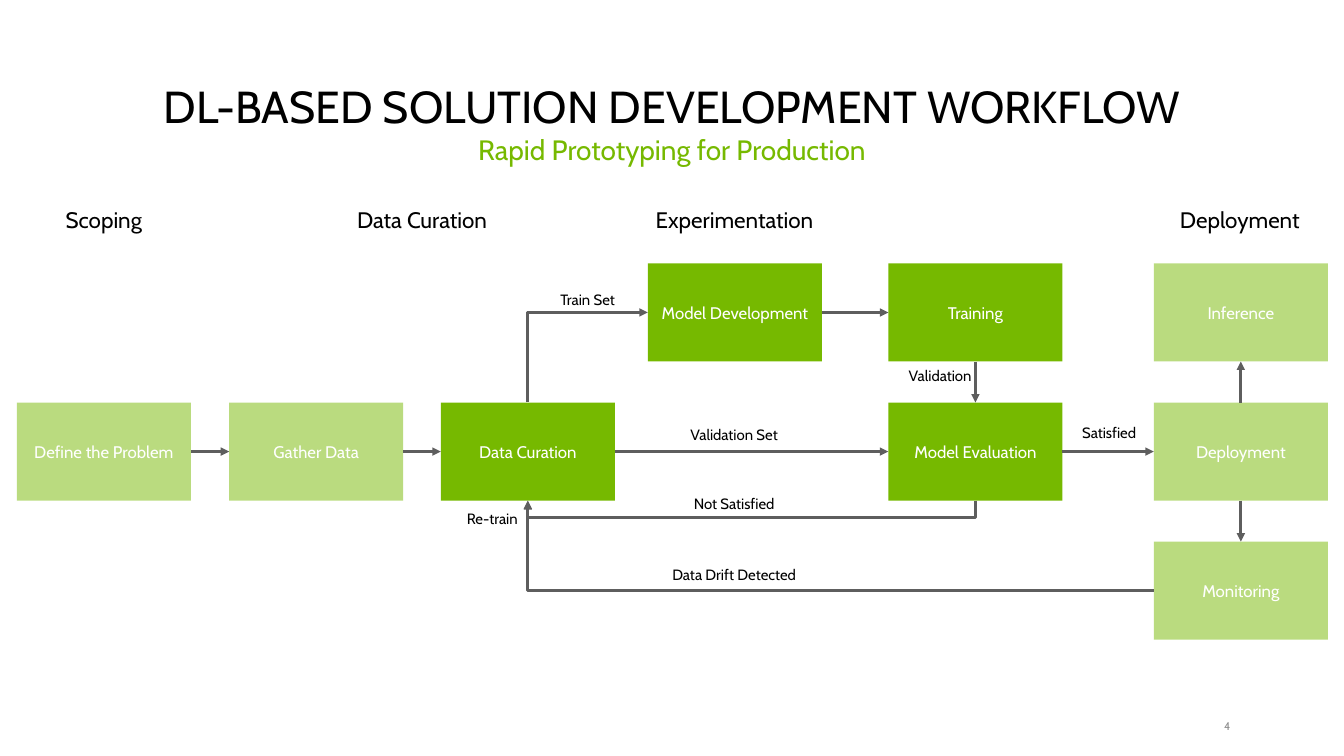
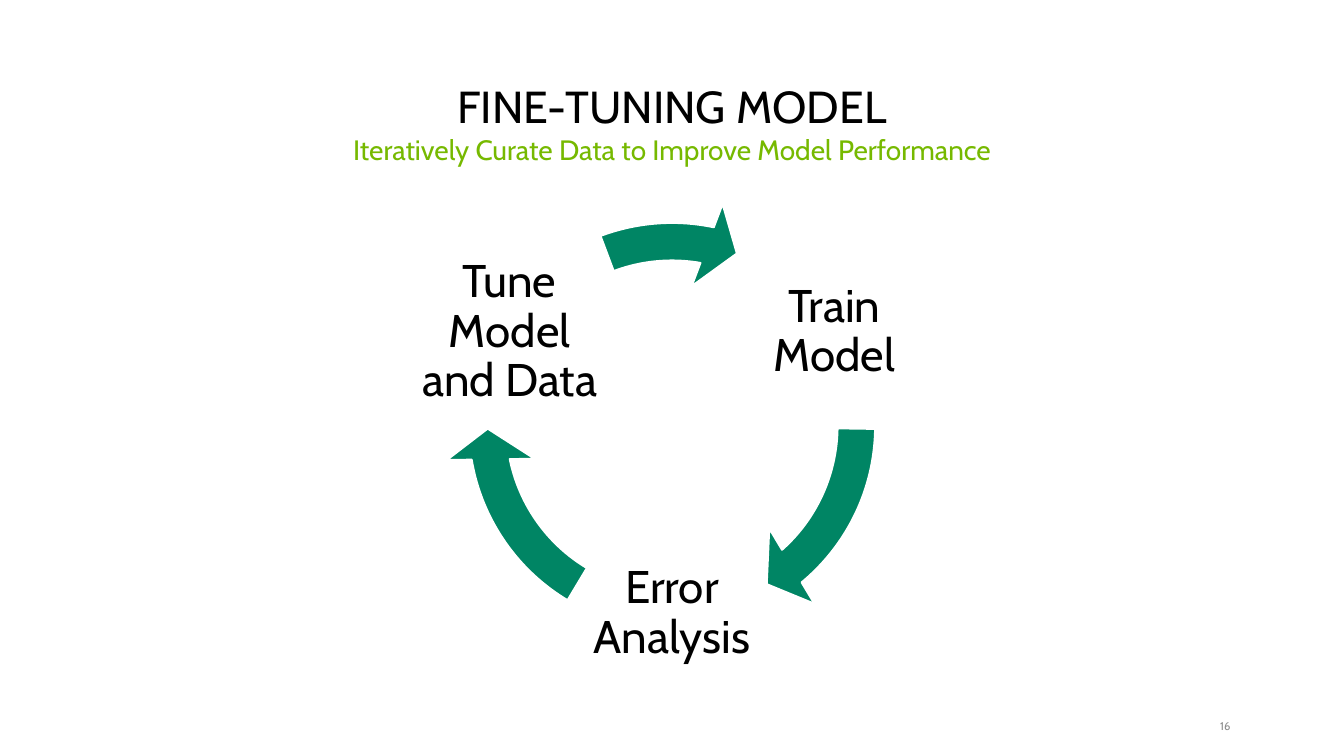
from math import cos, radians, sin

from lxml.etree import SubElement
from pptx import Presentation
from pptx.dml.color import RGBColor
from pptx.enum.shapes import MSO_CONNECTOR, MSO_SHAPE
from pptx.enum.text import MSO_ANCHOR, MSO_AUTO_SIZE, PP_ALIGN
from pptx.oxml.ns import qn
from pptx.util import Inches, Pt

COLORS = {
    "text": "000000",
    "white": "FFFFFF",
    "green": "76B900",
    "teal": "008564",
    "line": "5E5E5E",
    "number": "8C8C8C",
}
FONT = "Cabin"

WORKFLOW_TITLE = ("DL-BASED SOLUTION DEVELOPMENT WORKFLOW", "Rapid Prototyping for Production", "4")
CYCLE_TITLE = ("FINE-TUNING MODEL", "Iteratively Curate Data to Improve Model Performance", "16")

# Workflow grid: left edges of the columns, top edges of the rows
COLUMNS = [0.25, 3.41, 6.56, 9.64, 13.22, 17.17]
ROWS = [3.92 + 2.07 * row for row in range(3)]
NODE_WIDTH, NODE_HEIGHT = 2.59, 1.46

# name: (text, column, row, highlighted)
NODES = {
    "define": ("Define the Problem", 0, 1, False),
    "gather": ("Gather Data", 1, 1, False),
    "curate": ("Data Curation", 2, 1, True),
    "develop": ("Model Development", 3, 0, True),
    "train": ("Training", 4, 0, True),
    "evaluate": ("Model Evaluation", 4, 1, True),
    "infer": ("Inference", 5, 0, False),
    "deploy": ("Deployment", 5, 1, False),
    "monitor": ("Monitoring", 5, 2, False),
}
STRAIGHT_ARROWS = [
    ("define", "right", "gather", "left"),
    ("gather", "right", "curate", "left"),
    ("curate", "right", "evaluate", "left"),
    ("develop", "right", "train", "left"),
    ("train", "bottom", "evaluate", "top"),
    ("evaluate", "right", "deploy", "left"),
    ("deploy", "top", "infer", "bottom"),
    ("deploy", "bottom", "monitor", "top"),
]
# (text, left, width)
STAGES = [
    ("Scoping", 0.11, 2.87),
    ("Data Curation", 4.71, 3.14),
    ("Experimentation", 9.36, 3.14),
    ("Deployment", 16.95, 3),
]
# (text, left, top, width)
ARROW_LABELS = [
    ("Train Set", 6.79, 4.31, 3.91),
    ("Validation", 12.42, 5.44, 3.14),
    ("Validation Set", 8.97, 6.31, 3.91),
    ("Satisfied", 14.55, 6.29, 3.91),
    ("Not Satisfied", 8.97, 7.34, 3.91),
    ("Re-train", 5.37, 7.57, 3.91),
    ("Data Drift Detected", 8.97, 8.39, 3.91),
]

# (text, angle of the text, start and end angle of the arrow that follows)
CYCLE_STEPS = [
    ("Train Model", -30, 0.82, 49.46),
    ("Error Analysis", 90, 120.96, 169.59),
    ("Tune Model and Data", 210, 249.41, 281),
]
CYCLE_CENTER = (10, 6.34)
CYCLE_RADIUS, STEP_SIZE, RING_SIZE = 2.79, 2.87, 6.79


def color(name):
    return RGBColor.from_string(COLORS[name])


def write(shape, text, size, ink="text", align=PP_ALIGN.CENTER, anchor=MSO_ANCHOR.MIDDLE,
          spacing=0.9, inset=None):
    frame = shape.text_frame
    settings = {"word_wrap": True, "auto_size": MSO_AUTO_SIZE.NONE, "vertical_anchor": anchor}
    if inset is not None:
        for side in ("left", "right", "top", "bottom"):
            settings[f"margin_{side}"] = Inches(inset)
    for name, value in settings.items():
        setattr(frame, name, value)
    para = frame.paragraphs[0]
    para.alignment, para.line_spacing = align, spacing
    span = para.add_run()
    span.text = text
    for name, value in {"name": FONT, "size": Pt(size), "bold": False}.items():
        setattr(span.font, name, value)
    span.font.color.rgb = color(ink)


def add_text(page, box, text, size, **formats):
    write(page.shapes.add_textbox(*map(Inches, box)), text, size, **formats)


def add_filled_shape(page, kind, box, fill):
    shape = page.shapes.add_shape(kind, *map(Inches, box))
    shape.shadow.inherit = False
    shape.fill.solid()
    shape.fill.fore_color.rgb = color(fill)
    return shape


def add_page(deck, title, subtitle, number):
    page = deck.slides.add_slide(deck.slide_layouts[5])
    heading = page.shapes.title
    box = {"left": 0.91, "top": 0.95, "width": 18.18, "height": 1.08}
    for name, value in box.items():
        setattr(heading, name, Inches(value))
    write(heading, title, 48, anchor=MSO_ANCHOR.BOTTOM)
    add_text(page, (0.91, 1.98, 18.18, 0.96), subtitle, 30, ink="green", anchor=MSO_ANCHOR.TOP)
    add_text(page, (17.77, 10.71, 0.54, 0.2), number, 12, ink="number",
             align=PP_ALIGN.RIGHT, spacing=1, inset=0)
    return page


def add_node(page, text, column, row, highlighted):
    box = (COLUMNS[column], ROWS[row], NODE_WIDTH, NODE_HEIGHT)
    node = add_filled_shape(page, MSO_SHAPE.RECTANGLE, box, "green")
    node.line.fill.background()
    if not highlighted:
        shade = node._element.spPr.find(qn("a:solidFill"))[0]
        SubElement(shade, qn("a:alpha")).set("val", "50000")
    write(node, text, 18, ink="white", spacing=1)


def side_point(name, side):
    """Middle of one side of a node."""
    _, column, row, _ = NODES[name]
    across, down = {"left": (0, 0.5), "right": (1, 0.5), "top": (0.5, 0), "bottom": (0.5, 1)}[side]
    return COLUMNS[column] + across * NODE_WIDTH, ROWS[row] + down * NODE_HEIGHT


def add_arrow(page, start, end, kind=MSO_CONNECTOR.STRAIGHT):
    arrow = page.shapes.add_connector(kind, *map(Inches, (*start, *end)))
    arrow.line.color.rgb = color("line")
    arrow.line.width = Pt(3)
    properties = arrow._element.spPr
    SubElement(properties.find(qn("a:ln")), qn("a:tailEnd")).set("type", "triangle")
    SubElement(properties, qn("a:effectLst"))
    return arrow


def add_elbow(page, start, end, vertical_first=False, bend=None):
    """One corner, or two when bend gives the turn as a multiple of the run."""
    if vertical_first:
        middle_x, middle_y = (start[0] + end[0]) / 2, (start[1] + end[1]) / 2
        half_x, half_y = (end[0] - start[0]) / 2, (end[1] - start[1]) / 2
        start = (middle_x - half_y, middle_y + half_x)
        end = (middle_x + half_y, middle_y - half_x)
    arrow = add_arrow(page, start, end, MSO_CONNECTOR.ELBOW)
    properties = arrow._element.spPr
    if vertical_first:
        properties.find(qn("a:xfrm")).set("rot", str(90 * 60000))
    geometry = properties.find(qn("a:prstGeom"))
    if bend is None:
        geometry.set("prst", "bentConnector2")
    else:
        guide = SubElement(geometry.find(qn("a:avLst")), qn("a:gd"))
        guide.set("name", "adj1")
        guide.set("fmla", f"val {bend * 100000}")


def build_workflow(deck):
    page = add_page(deck, *WORKFLOW_TITLE)
    for node in NODES.values():
        add_node(page, *node)
    for origin, origin_side, target, target_side in STRAIGHT_ARROWS:
        add_arrow(page, side_point(origin, origin_side), side_point(target, target_side))

    curate_bottom = side_point("curate", "bottom")
    add_elbow(page, side_point("curate", "top"), side_point("develop", "left"), vertical_first=True)
    add_elbow(page, side_point("monitor", "left"), curate_bottom)
    add_elbow(page, side_point("evaluate", "bottom"), (curate_bottom[0], curate_bottom[1] + 0.01),
              vertical_first=True, bend=25)

    for text, left, width in STAGES:
        add_text(page, (left, 3.06, width, 0.46), text, 24)
    for text, left, top, width in ARROW_LABELS:
        add_text(page, (left, top, width, 0.34), text, 16)


def centered_box(x, y, size):
    return x - size / 2, y - size / 2, size, size


def build_cycle(deck):
    page = add_page(deck, *CYCLE_TITLE)
    center_x, center_y = CYCLE_CENTER
    for text, angle, start, end in CYCLE_STEPS:
        x = center_x + CYCLE_RADIUS * cos(radians(angle))
        y = center_y + CYCLE_RADIUS * sin(radians(angle))
        add_text(page, centered_box(x, y, STEP_SIZE), text, 49, inset=0.07)

        arrow = add_filled_shape(page, MSO_SHAPE.CIRCULAR_ARROW,
                                 centered_box(center_x, center_y, RING_SIZE), "teal")
        arrow.line.color.rgb = color("white")
        arrow.line.width = Pt(2)
        # An adjustment of 0.6 turns the arrow by one degree
        for index, value in enumerate((0.082, 9.59 * 0.6, end * 0.6, start * 0.6, 0.096)):
            arrow.adjustments[index] = value


def main():
    deck = Presentation()
    deck.slide_width, deck.slide_height = Inches(20), Inches(11.25)
    build_workflow(deck)
    build_cycle(deck)
    deck.save("out.pptx")


if __name__ == "__main__":
    main()
